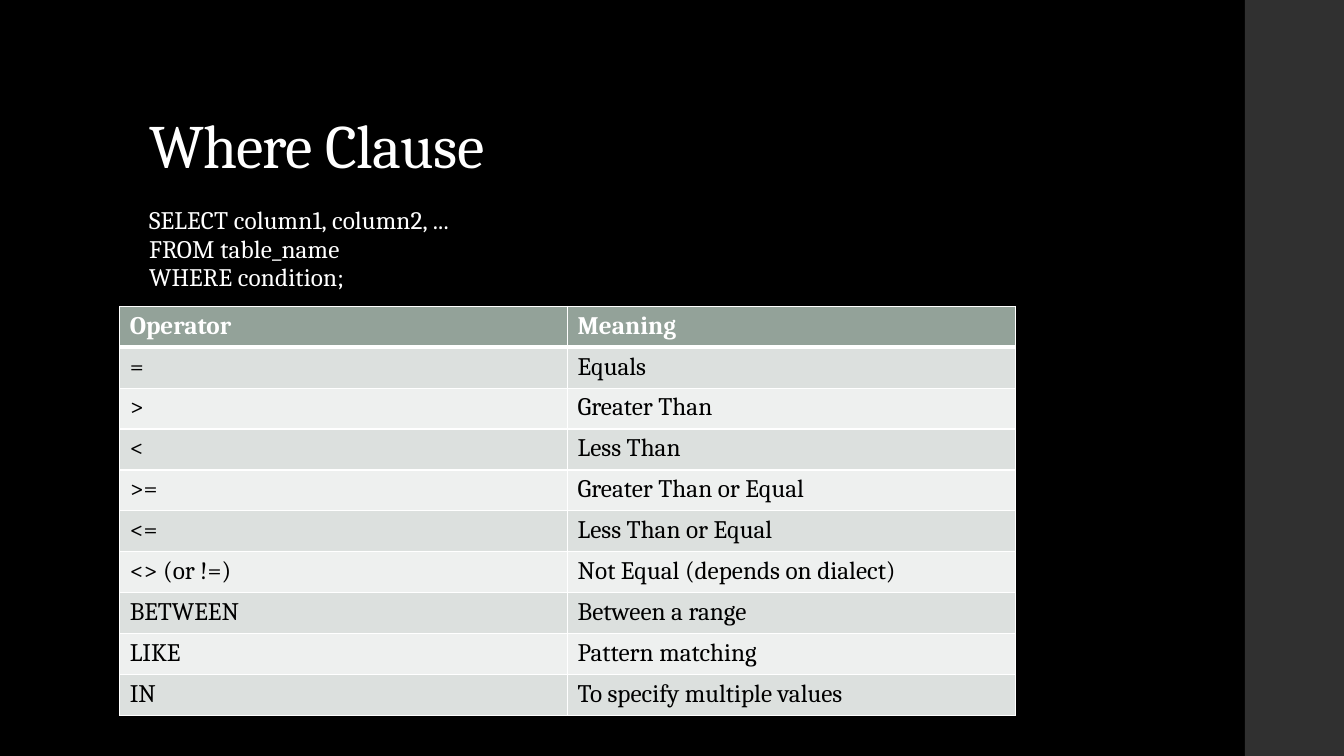
from dataclasses import dataclass

import pptx
import pptx.dml.color
import pptx.enum.shapes
import pptx.enum.text
import pptx.oxml
import pptx.oxml.ns
import pptx.util

Pt = pptx.util.Pt
RGB = pptx.dml.color.RGBColor.from_string


@dataclass(frozen=True)
class Theme:
    font: str = "Cambria"
    background: str = "000000"
    side_band: str = "303030"
    light: str = "FFFFFF"
    dark: str = "000000"
    header: str = "93A299"
    stripes: tuple = ("DCE0DE", "EEF0EF")
    title_size: int = 44
    text_size: int = 18


THEME = Theme()

QUERY = "SELECT column1, column2, ...\vFROM table_name\vWHERE condition;"

OPERATORS = [
    ("Operator", "Meaning"),
    ("=", "Equals"),
    (">", "Greater Than"),
    ("<", "Less Than"),
    (">=", "Greater Than or Equal"),
    ("<=", "Less Than or Equal"),
    ("<> (or !=)", "Not Equal (depends on dialect)"),
    ("BETWEEN", "Between a range"),
    ("LIKE", "Pattern matching"),
    ("IN", "To specify multiple values"),
]


def style_font(font, size, color, bold=False):
    for name, value in {"name": THEME.font, "size": Pt(size), "bold": bold}.items():
        setattr(font, name, value)
    font.color.rgb = RGB(color)


def add_side_band(slide, left, top, width, height):
    band = slide.shapes.add_shape(
        pptx.enum.shapes.MSO_SHAPE.RECTANGLE, Pt(left), Pt(top), Pt(width), Pt(height))
    band.shadow.inherit = False
    band.fill.solid()
    band.fill.fore_color.rgb = RGB(THEME.side_band)
    band.line.fill.background()


def add_text(slide, box, text, size, line_spacing, anchor, tracking):
    """Place one paragraph; tracking is in hundredths of a point."""
    frame = slide.shapes.add_textbox(*map(Pt, box)).text_frame
    frame.word_wrap = True
    frame.vertical_anchor = anchor
    paragraph = frame.paragraphs[0]
    paragraph.text = text
    paragraph.line_spacing = line_spacing
    for run in paragraph.runs:
        style_font(run.font, size, THEME.light)
        run.font._element.set("spc", str(tracking))


def set_borders(cell, widths):
    """Draw the cell's sides, given as widths for L, R, T and B."""
    properties = cell._tc.get_or_add_tcPr()
    for position, (side, width) in enumerate(widths.items()):
        properties.insert(position, pptx.oxml.parse_xml(
            f'<a:ln{side} {pptx.oxml.ns.nsdecls("a")} w="{Pt(width)}"><a:solidFill>'
            f'<a:srgbClr val="{THEME.light}"/></a:solidFill></a:ln{side}>'))


def add_operator_table(slide, left, top, width, height):
    table = slide.shapes.add_table(
        len(OPERATORS), len(OPERATORS[0]), Pt(left), Pt(top), Pt(width), Pt(height)).table
    for row, entries in enumerate(OPERATORS):
        is_header = row == 0
        table.rows[row].height = Pt(height / len(OPERATORS))
        for column, entry in enumerate(entries):
            cell = table.cell(row, column)
            cell.text = entry
            style_font(cell.text_frame.paragraphs[0].runs[0].font, THEME.text_size,
                       THEME.light if is_header else THEME.dark, is_header)
            cell.fill.solid()
            cell.fill.fore_color.rgb = RGB(
                THEME.header if is_header else THEME.stripes[(row - 1) % 2])
            set_borders(cell, {"L": 1, "R": 1, "T": 3 if row == 1 else 1,
                               "B": 3 if is_header else 1})


def add_where_slide(deck):
    slide = deck.slides.add_slide(deck.slide_layouts[6])
    slide.background.fill.solid()
    slide.background.fill.fore_color.rgb = RGB(THEME.background)
    anchors = pptx.enum.text.MSO_ANCHOR
    add_side_band(slide, 889.2, 0, 72, 540)
    add_text(slide, (99.4, 28.8, 763.2, 104.4), "Where Clause",
             THEME.title_size, 0.9, anchors.BOTTOM, -50)
    add_text(slide, (99.4, 144, 676.8, 342.7), QUERY,
             THEME.text_size, 0.95, anchors.TOP, 10)
    add_operator_table(slide, 85.5, 218.9, 640, 292)


def main():
    deck = pptx.Presentation()
    deck.slide_width, deck.slide_height = Pt(960), Pt(540)
    add_where_slide(deck)
    deck.save("out.pptx")


if __name__ == "__main__":
    main()
